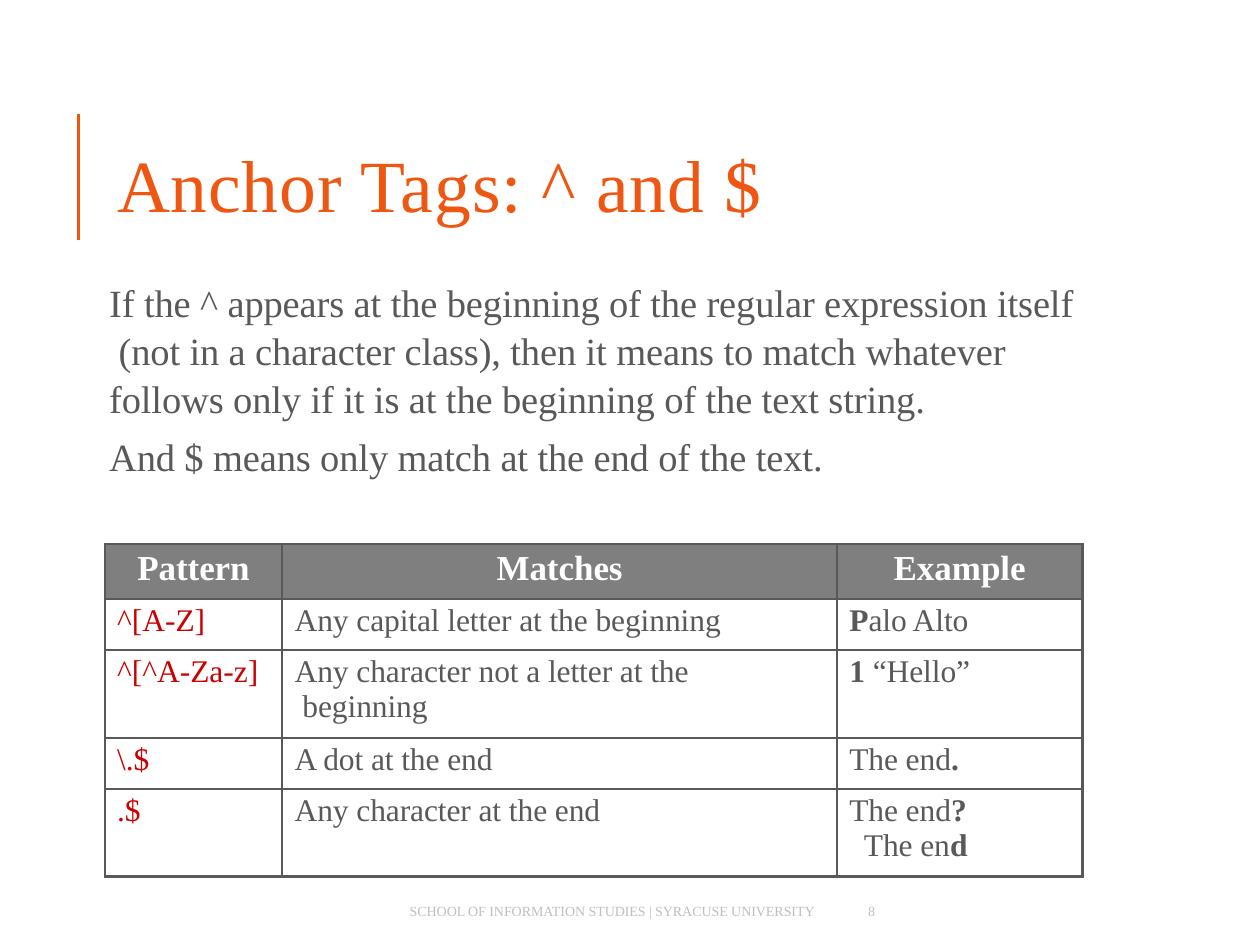
from dataclasses import dataclass

from pptx import Presentation
from pptx.dml.color import RGBColor
from pptx.enum import shapes, text
from pptx.oxml import parse_xml
from pptx.oxml.ns import nsdecls, qn
from pptx.util import Cm, Pt

FONT = "Times New Roman"
COLORS = {"accent": "EE5612", "body": "595959", "footer": "BFBFBF",
          "pattern": "CC0000", "header": "7F7F7F", "white": "FFFFFF"}


@dataclass
class Style:
    size: float
    color: str
    bold: bool = False
    spacing: int = -5  # hundredths of a point


@dataclass
class Footer:
    left: float
    width: float
    words: str


TITLE = Style(42, "accent", spacing=50)
BODY = Style(22, "body")
FOOTER = Style(8, "footer")
HEADER = Style(20, "white", bold=True)
PATTERN = Style(18, "pattern", spacing=0)
CELL = Style(18, "body")

PARAGRAPHS = [
    "If the ^ appears at the beginning of the regular expression itself\v"
    " (not in a character class), then it means to match whatever\v"
    "follows only if it is at the beginning of the text string.",
    "And $ means only match at the end of the text.",
]
FOOTERS = [
    Footer(8.26, 8.4, "SCHOOL OF INFORMATION STUDIES | SYRACUSE UNIVERSITY"),
    Footer(17.4, 0.5, "8"),
]
# Asterisks enclose the bold part of a cell.
ROWS = [
    ("Pattern", "Matches", "Example"),
    ("^[A-Z]", "Any capital letter at the beginning", "*P*alo Alto"),
    ("^[^A-Za-z]", "Any character not a letter at the\v beginning", "*1* “Hello”"),
    (r"\.$", "A dot at the end", "The end*.*"),
    (".$", "Any character at the end", "The end*?*\v The en*d*"),
]
COL_WIDTHS = (3.58, 11.18, 4.95)
ROW_HEIGHTS = (1.1, 1.03, 1.77, 1.03, 1.77)


def rgb(name: str) -> RGBColor:
    return RGBColor.from_string(COLORS[name])


def add_run(p, words: str, style: Style, bold: bool = False) -> None:
    r = p.add_run()
    r.text = words
    fmt = {"name": FONT, "size": Pt(style.size), "bold": style.bold or bold}
    for key, value in fmt.items():
        setattr(r.font, key, value)
    r.font.color.rgb = rgb(style.color)
    r.font._element.set("spc", str(style.spacing))


def write(p, marked: str, style: Style) -> None:
    """Fill a paragraph, reading *bold* marks and \\v line breaks."""
    for i, part in enumerate(marked.split("*")):
        for j, line in enumerate(part.split("\v")):
            if j:
                p.add_line_break()
            if line:
                add_run(p, line, style, bold=i % 2 == 1)


def setup_frame(tf, top: float = 0) -> None:
    fmt = {"margin_left": 0, "margin_right": 0, "margin_top": Cm(top),
           "margin_bottom": 0, "word_wrap": True,
           "auto_size": text.MSO_AUTO_SIZE.NONE,
           "vertical_anchor": text.MSO_ANCHOR.TOP}
    for key, value in fmt.items():
        setattr(tf, key, value)


def place(sp, left: float, top: float, width: float, height: float) -> None:
    for key, value in zip(("left", "top", "width", "height"),
                          (left, top, width, height)):
        setattr(sp, key, Cm(value))


def set_indent(p, left: float, first: float) -> None:
    pPr = p._p.get_or_add_pPr()
    pPr.set("marL", str(Cm(left)))
    pPr.set("indent", str(Cm(first)))


def add_rule(s) -> None:
    line = s.shapes.add_connector(shapes.MSO_CONNECTOR.STRAIGHT,
                                  Cm(1.58), Cm(4.83), Cm(1.58), Cm(2.29))
    line.line.color.rgb = rgb("accent")
    line.line.width = Pt(2)
    line._element.spPr.append(parse_xml(f"<a:effectLst {nsdecls('a')}/>"))


def add_title(s) -> None:
    sp = s.shapes.title
    place(sp, 2.36, 2.74, 13.41, 1.85)
    setup_frame(sp.text_frame, 0.07)
    p = sp.text_frame.paragraphs[0]
    p.alignment = text.PP_ALIGN.LEFT
    write(p, "Anchor Tags: ^ and $", TITLE)


def add_body(s) -> None:
    sp = s.placeholders[1]
    place(sp, 2.2, 5.54, 19.69, 3.99)
    tf = sp.text_frame
    setup_frame(tf, 0.05)
    for i, words in enumerate(PARAGRAPHS):
        p = tf.add_paragraph() if i else tf.paragraphs[0]
        set_indent(p, 0, 0)
        p._p.get_or_add_pPr().append(parse_xml(f"<a:buNone {nsdecls('a')}/>"))
        p.space_before = Pt(5.6 if i else 0)
        p.line_spacing = 1.04
        write(p, words, BODY)


def add_footer(s, footer: Footer) -> None:
    sp = s.shapes.add_textbox(Cm(footer.left), Cm(18.19), Cm(footer.width), Cm(0.38))
    setup_frame(sp.text_frame)
    p = sp.text_frame.paragraphs[0]
    if footer.words.isdigit():
        set_indent(p, 0.1, 0)
    write(p, footer.words, FOOTER)


def set_borders(cell) -> None:
    tcPr = cell._tc.get_or_add_tcPr()
    for i, side in enumerate(("lnL", "lnR", "lnT", "lnB")):
        tcPr.insert(i, parse_xml(
            f'<a:{side} {nsdecls("a")} w="{Pt(1.5)}"><a:solidFill>'
            f'<a:srgbClr val="{COLORS["body"]}"/></a:solidFill></a:{side}>'))


def fill_cell(cell, words: str, row: int, col: int) -> None:
    left = Cm(0.25) if row else 0
    for key, value in {"margin_left": left, "margin_right": 0,
                       "margin_top": Cm(0.1), "margin_bottom": 0}.items():
        setattr(cell, key, value)
    p = cell.text_frame.paragraphs[0]
    if row == 0:
        cell.fill.solid()
        cell.fill.fore_color.rgb = rgb("header")
        p.alignment = text.PP_ALIGN.CENTER
        style = HEADER
    else:
        cell.fill.background()
        style = CELL if col else PATTERN
    if "?" in words:
        set_indent(p, 0.15, -0.15)
    write(p, words, style)
    set_borders(cell)


def add_pattern_table(s) -> None:
    table = s.shapes.add_table(len(ROWS), len(COL_WIDTHS), Cm(2.11), Cm(10.97),
                               Cm(sum(COL_WIDTHS)), Cm(sum(ROW_HEIGHTS))).table
    table.first_row = table.horz_banding = False
    for column, width in zip(table.columns, COL_WIDTHS):
        column.width = Cm(width)
    for i, (row, height) in enumerate(zip(ROWS, ROW_HEIGHTS)):
        table.rows[i].height = Cm(height)
        for j, words in enumerate(row):
            fill_cell(table.cell(i, j), words, i, j)


def main() -> None:
    prs = Presentation()
    prs.slide_width, prs.slide_height = Cm(25.4), Cm(19.05)
    s = prs.slides.add_slide(prs.slide_layouts[1])
    add_rule(s)
    add_title(s)
    add_body(s)
    for footer in FOOTERS:
        add_footer(s, footer)
    add_pattern_table(s)
    prs.save("out.pptx")


if __name__ == "__main__":
    main()
